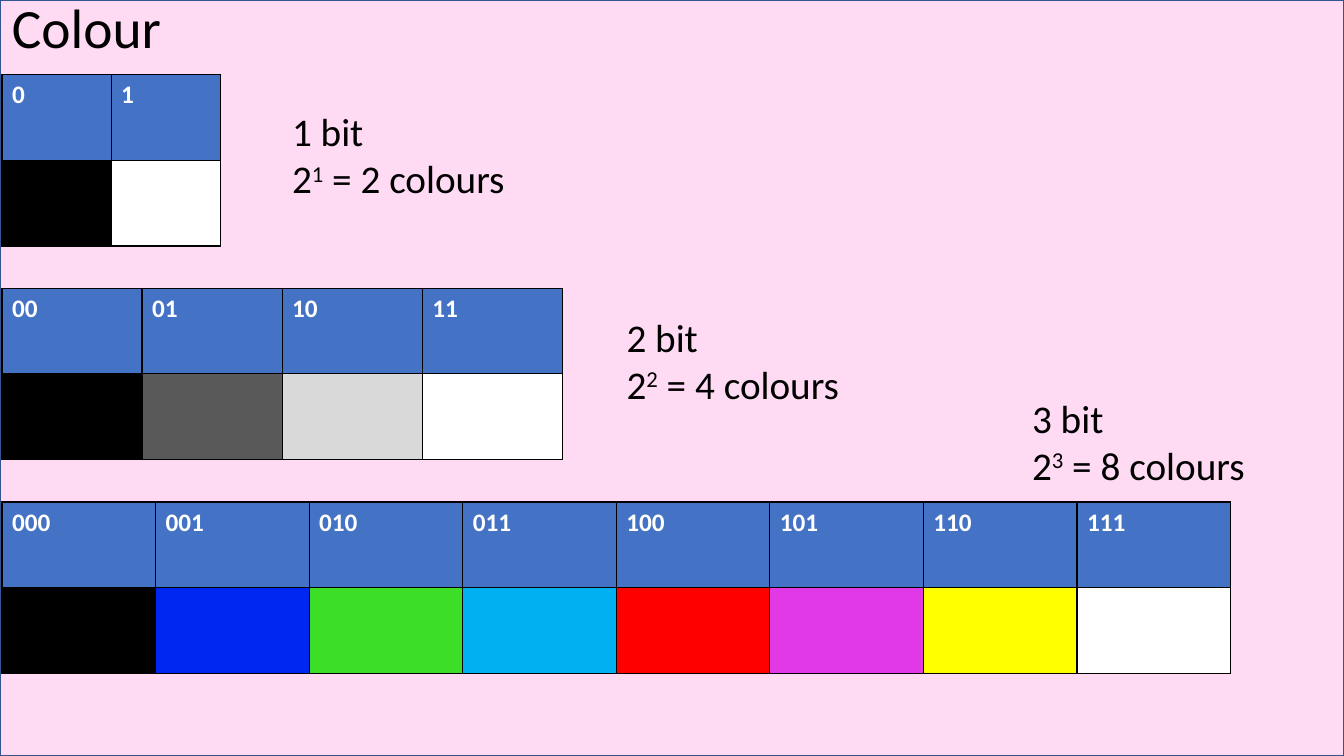
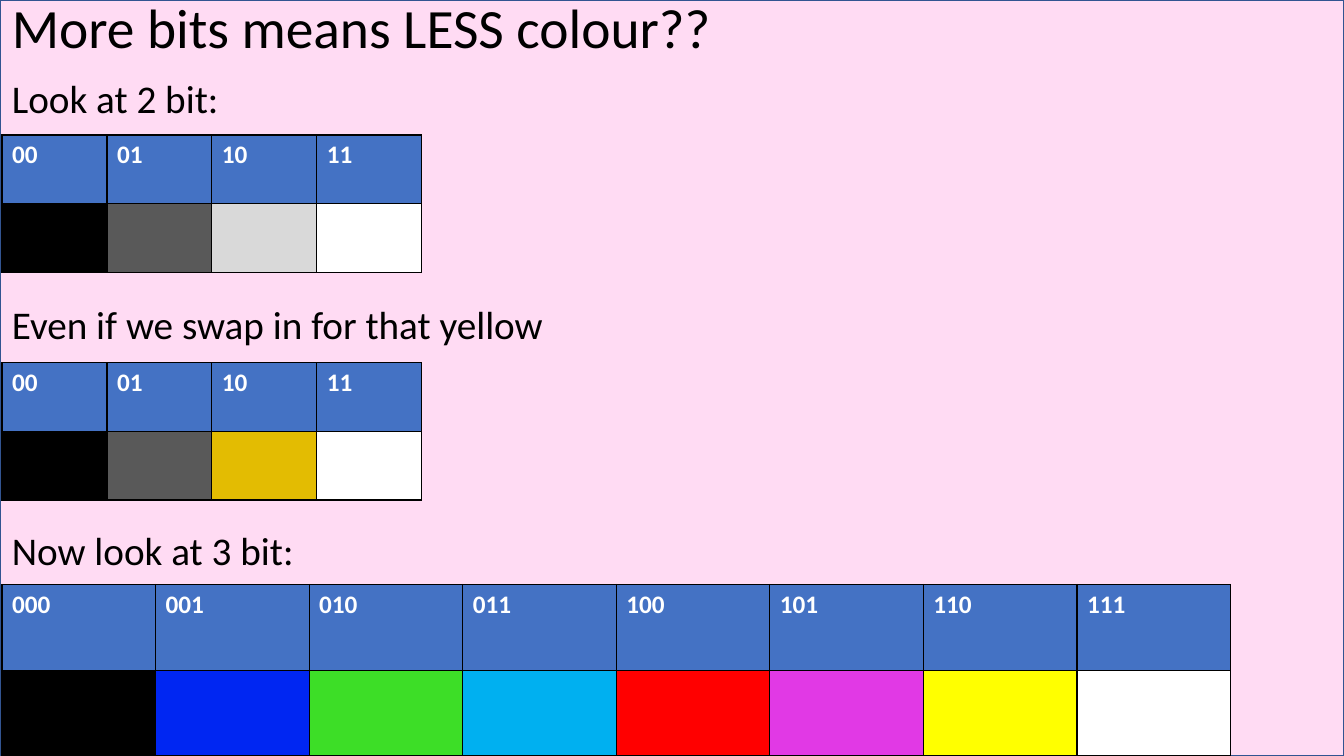
from lxml.etree import SubElement
from pptx import Presentation
from pptx.dml.color import RGBColor
from pptx.enum.shapes import MSO_SHAPE
from pptx.enum.text import MSO_ANCHOR
from pptx.oxml.ns import qn
from pptx.util import Cm, Pt

COLOURS = {
    "pink": "FF8AD8", "frame": "325491", "header": "4472C4",
    "black": "000000", "white": "FFFFFF", "dark grey": "595959",
    "light grey": "D9D9D9", "gold": "E3BC02", "blue": "0026F2",
    "green": "3DDE27", "cyan": "00B0F0", "red": "FF0000",
    "magenta": "E139E5", "yellow": "FFFF00",
}
RGB = {name: RGBColor.from_string(value) for name, value in COLOURS.items()}
FONT = "Calibri"
LEFT = Cm(0.05)
WIDE = 30.96

ONE_BIT = ["black", "white"]
TWO_BIT = ["black", "dark grey", "light grey", "white"]
TWO_BIT_GOLD = ["black", "dark grey", "gold", "white"]
THREE_BIT = ["black", "blue", "green", "cyan", "red", "magenta", "yellow", "white"]

# Each palette: colours, top, table width, row height (cm)
# Each formula: bits, left, top, width (cm); each caption: text, top (cm)
SLIDES = [
    {
        "title": "Colour",
        "palettes": [(ONE_BIT, 1.88, 5.5, 2.16),
                     (TWO_BIT, 7.26, 14.12, 2.16),
                     (THREE_BIT, 12.65, WIDE, 2.16)],
        "formulas": [(1, 7.11, 2.59, 12.17),
                     (2, 15.54, 7.77, 12.17),
                     (3, 25.76, 9.8, 8.11)],
        "captions": [],
    },
    {
        "title": "More bits means LESS colour??",
        "palettes": [(TWO_BIT, 3.4, 10.58, 1.73),
                     (TWO_BIT_GOLD, 9.14, 10.58, 1.73),
                     (THREE_BIT, 14.73, WIDE, 2.16)],
        "formulas": [],
        "captions": [("Look at 2 bit:", 1.88),
                     ("Even if we swap in for that yellow", 7.58),
                     ("Now look at 3 bit:", 13.28)],
    },
]


def add_text(slide, left, top, width, height, size, text=""):
    """Add a text box and return its only paragraph."""
    frame = slide.shapes.add_textbox(left, top, width, height).text_frame
    frame.word_wrap = True
    frame.vertical_anchor = MSO_ANCHOR.MIDDLE if size > 30 else MSO_ANCHOR.TOP
    paragraph = frame.paragraphs[0]
    paragraph.text = text
    paragraph.font.name = FONT
    paragraph.font.size = Pt(size)
    paragraph.font.color.rgb = RGB["black"]
    return paragraph


def fill_cell(cell, colour):
    """Give a table cell thin black borders and a plain fill."""
    properties = cell._tc.get_or_add_tcPr()
    for side in ("lnL", "lnR", "lnT", "lnB"):
        border = SubElement(properties, qn(f"a:{side}"), w=str(Pt(1)))
        line_fill = SubElement(border, qn("a:solidFill"))
        SubElement(line_fill, qn("a:srgbClr"), val=COLOURS["black"])
    cell.fill.solid()
    cell.fill.fore_color.rgb = RGB[colour]


prs = Presentation()
prs.slide_width = Cm(33.87)
prs.slide_height = Cm(19.05)

for content in SLIDES:
    slide = prs.slides.add_slide(prs.slide_layouts[6])

    # Translucent pink backdrop
    backdrop = slide.shapes.add_shape(
        MSO_SHAPE.RECTANGLE, 0, 0, prs.slide_width, prs.slide_height)
    backdrop.shadow.inherit = False
    backdrop.fill.solid()
    backdrop.fill.fore_color.rgb = RGB["pink"]
    tint = backdrop._element.spPr.find(qn("a:solidFill")).find(qn("a:srgbClr"))
    SubElement(tint, qn("a:alpha"), val="30000")
    backdrop.line.color.rgb = RGB["frame"]
    backdrop.line.width = Pt(1)

    # Title
    title = add_text(slide, LEFT, 0, Cm(33.8), Cm(1.52), 39.6, content["title"])
    title.line_spacing = 0.9

    # Captions above the tables
    for text, top in content["captions"]:
        caption = add_text(slide, LEFT, Cm(top), Cm(33.8), Cm(1.4), 28, text)
        caption.line_spacing = 0.9

    # Palettes: binary codes over the colours they stand for
    for palette, top, width, row_height in content["palettes"]:
        count = len(palette)
        bits = count.bit_length() - 1
        table = slide.shapes.add_table(
            2, count, LEFT, Cm(top), Cm(width), Cm(2 * row_height)).table
        for row in table.rows:
            row.height = Cm(row_height)
        for code, colour in enumerate(palette):
            table.columns[code].width = Cm(width / count)
            header = table.cell(0, code)
            fill_cell(header, "header")
            header.text = format(code, f"0{bits}b")
            label = header.text_frame.paragraphs[0]
            label.font.name = FONT
            label.font.size = Pt(18)
            label.font.bold = True
            label.font.color.rgb = RGB["white"]
            fill_cell(table.cell(1, code), colour)

    # Formulas: number of colours for each bit depth
    for bits, left, top, width in content["formulas"]:
        formula = add_text(slide, Cm(left), Cm(top), Cm(width), Cm(2.64), 28,
                           f"{bits} bit")
        formula.add_line_break()
        formula.add_run().text = "2"
        exponent = formula.add_run()
        exponent.text = str(bits)
        exponent._r.get_or_add_rPr().set("baseline", "30000")
        formula.add_run().text = f" = {2 ** bits} colours"

prs.save("out.pptx")
